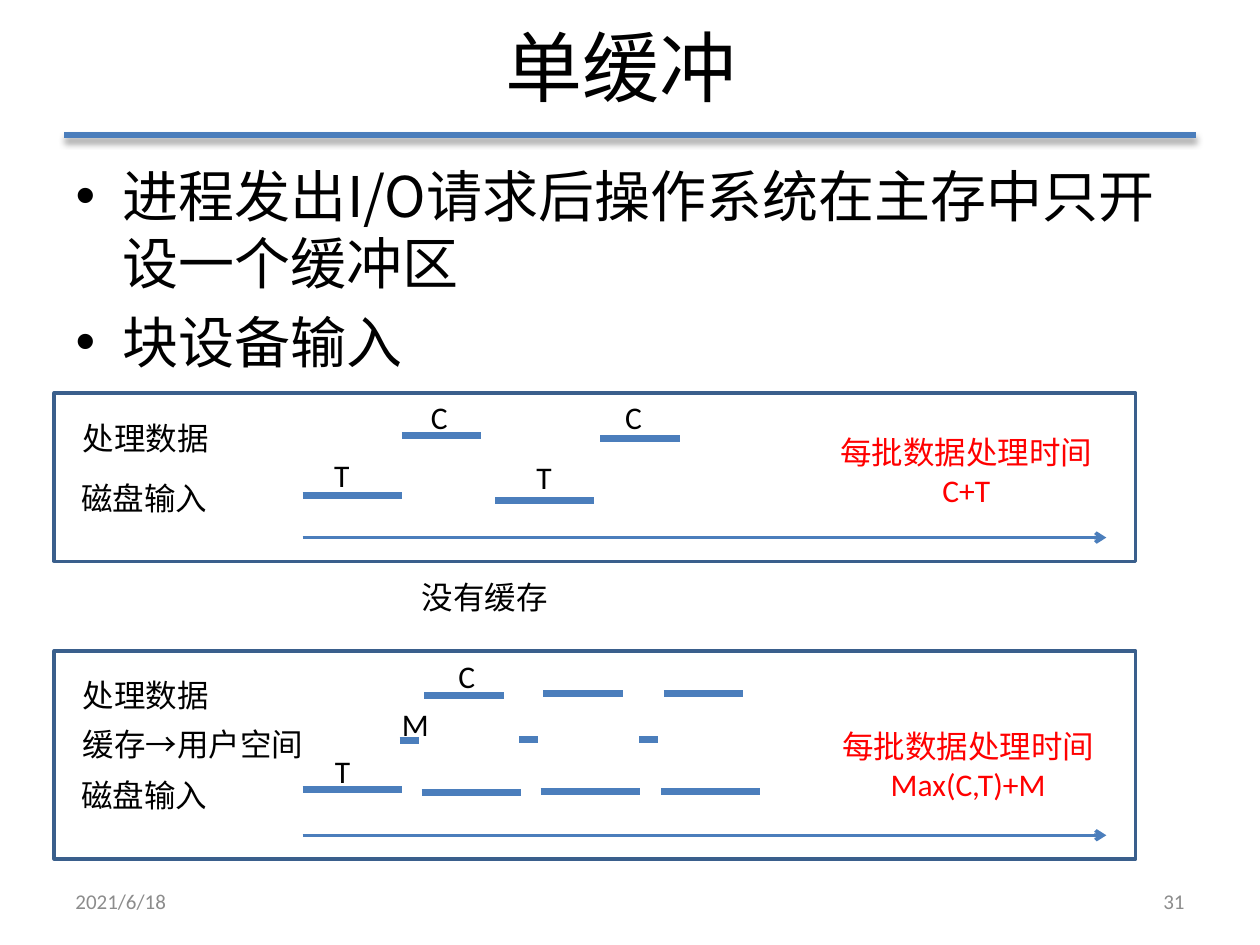
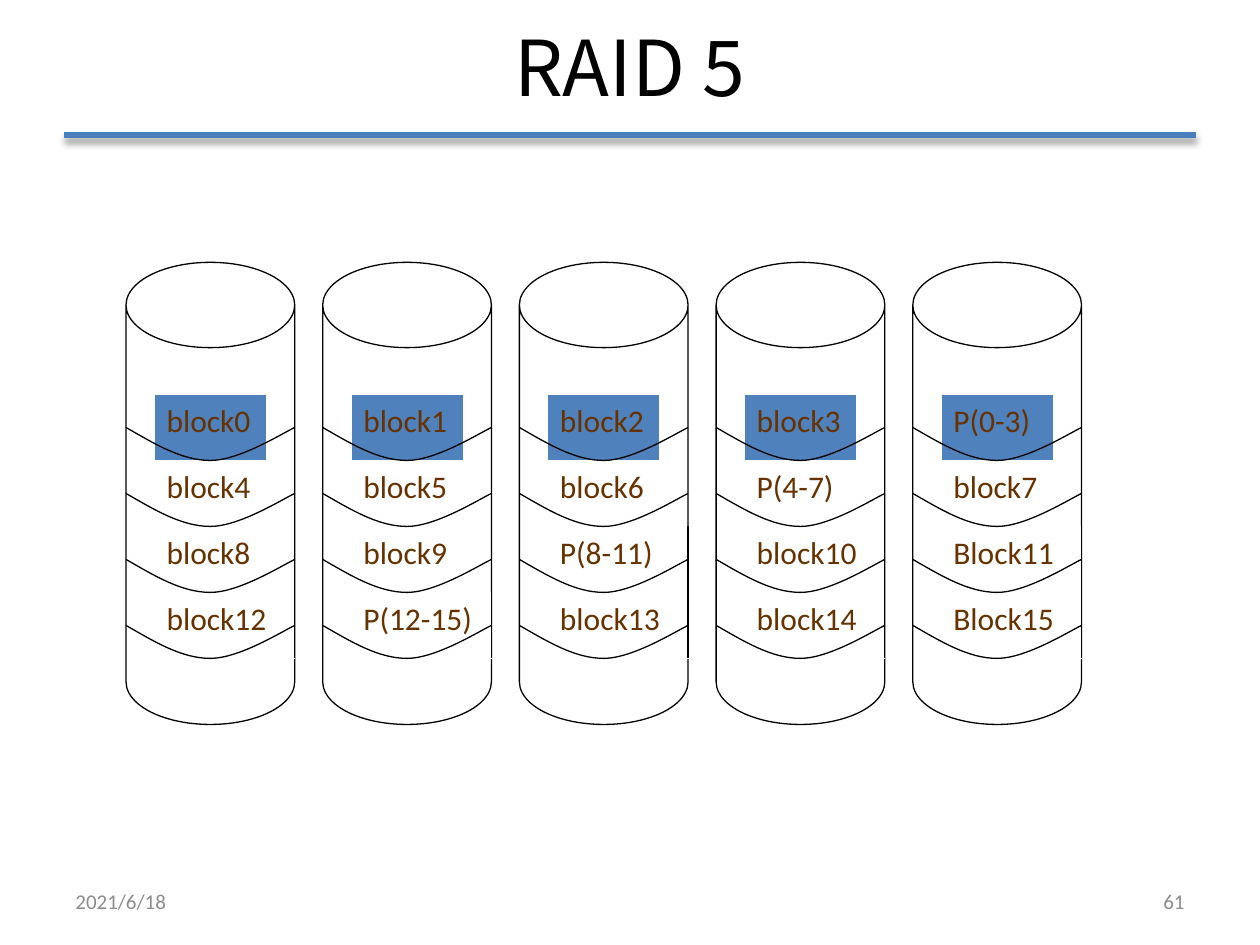
from lxml.etree import SubElement
from pptx import Presentation
from pptx.dml.color import RGBColor
from pptx.enum.shapes import MSO_CONNECTOR, MSO_SHAPE
from pptx.enum.text import MSO_ANCHOR, MSO_AUTO_SIZE, PP_ALIGN
from pptx.oxml.ns import qn
from pptx.util import Pt

BLACK = RGBColor(0x00, 0x00, 0x00)
WHITE = RGBColor(0xFF, 0xFF, 0xFF)
GREY = RGBColor(0x8C, 0x8C, 0x8C)
RED = RGBColor(0xFF, 0x00, 0x00)
BROWN = RGBColor(0x66, 0x33, 0x00)
BLUE = RGBColor(0x4B, 0x7E, 0xBC)
BLOCK_BLUE = RGBColor(0x4F, 0x81, 0xBD)
FRAME_BLUE = RGBColor(0x3A, 0x5F, 0x8C)
HEADING_FONT = "Noto Sans CJK JP"
LABEL_FONT = "Calibri"
CONTENT_LAYOUT, TITLE_ONLY_LAYOUT = 1, 5

DATE = "2021/6/18"
BUFFER_POINTS = ["进程发出I/O请求后操作系统在主存中只开设一个缓冲区", "块设备输入"]

# Row labels: text, left, top, width.
# Bars: kind, start, height on the slide, letter position (or None).
TIMELINES = [
    {
        "frame": (31, 224.5, 618, 96.3),
        "axis": 307.2,
        "rows": [("处理数据", 40.3, 236, 87), ("磁盘输入", 39.4, 270, 87)],
        "bars": [
            ("T", 173, 283, (183.8, 257)),
            ("C", 229.7, 249.1, (239.2, 223.9)),
            ("T", 283, 285.8, (299.4, 258)),
            ("C", 342.9, 250.6, (350.1, 223.9)),
        ],
        "cost": ("C+T", 472.3, 244.1),
    },
    {
        "frame": (31, 372, 618, 118.8),
        "axis": 477.3,
        "rows": [("处理数据", 40.3, 382.5, 87), ("缓存→用户空间", 40.3, 410.9, 141),
                 ("磁盘输入", 39.4, 439.9, 87)],
        "bars": [
            ("T", 173, 451.4, (184.3, 426.2)),
            ("T", 241, 452.9, None),
            ("T", 309, 452.2, None),
            ("T", 377.8, 452.2, None),
            ("M", 228.4, 423.4, (222.5, 399.6)),
            ("M", 296.6, 422.6, None),
            ("M", 365.2, 422.6, None),
            ("C", 242.4, 397.3, (254.9, 372.2)),
            ("C", 310.4, 396.5, None),
            ("C", 379.4, 396.5, None),
        ],
        "cost": ("Max(C,T)+M", 473.3, 411.8),
    },
]
COST_HEADING = "每批数据处理时间"
NO_BUFFER_CAPTION = ("没有缓存", 234, 326.9, 87)
DURATION = {"T": 56.7, "C": 45.4, "M": 11}
LETTER_WIDTH = {"T": 23, "C": 24.5, "M": 30.2}
AXIS_START, AXIS_END = 173, 632.2

STRIPES = [
    ["block0", "block1", "block2", "block3", "P(0-3)"],
    ["block4", "block5", "block6", "P(4-7)", "block7"],
    ["block8", "block9", "P(8-11)", "block10", "Block11"],
    ["block12", "P(12-15)", "block13", "block14", "Block15"],
]
DISK_LEFT, DISK_TOP, DISK_STEP = 72, 149.9, 112.4
DISK_WIDTH, DISK_HEIGHT = 96.4, 264.1
BLOCK_INDENT, BLOCK_WIDTH, BLOCK_TOP, BLOCK_HEIGHT = 16.1, 64.2, 225.4, 37.7
# Start, then two cubic arcs, as fractions of the disk width and of the sag.
DISK_CURVE = [(0, 0), (0.17, 0.5), (0.33, 1), (0.5, 1), (0.67, 1), (0.92, 0.2), (1, 0)]


def box(*lengths):
    return [Pt(length) for length in lengths]


def write(paragraph, text, size, font=LABEL_FONT, color=BLACK):
    run = paragraph.add_run()
    run.text = text
    run.font.size = Pt(size)
    run.font.color.rgb = color
    run.font.name = font
    if font == HEADING_FONT:
        SubElement(run._r.rPr, qn("a:ea"), typeface=font)


def place_placeholder(placeholder, place):
    placeholder.left, placeholder.top, placeholder.width, placeholder.height = box(*place)


def add_label(slide, lines, place, color=BLACK, align=PP_ALIGN.LEFT):
    frame = slide.shapes.add_textbox(*box(*place)).text_frame
    frame.word_wrap = False
    frame.auto_size = MSO_AUTO_SIZE.SHAPE_TO_FIT_TEXT
    for number, line in enumerate(lines):
        paragraph = frame.add_paragraph() if number else frame.paragraphs[0]
        paragraph.alignment = align
        write(paragraph, line, 18, color=color)


def add_footer(slide, text, left, align):
    frame = slide.shapes.add_textbox(*box(left, 500.5, 168, 28.8)).text_frame
    frame.word_wrap = True
    frame.vertical_anchor = MSO_ANCHOR.MIDDLE
    frame.paragraphs[0].alignment = align
    write(frame.paragraphs[0], text, 12, color=GREY)


def add_line(shapes, start, end, width, color=BLUE):
    """Draw a straight line and return it with its empty effect list."""
    line = shapes.add_connector(MSO_CONNECTOR.STRAIGHT, *box(*start, *end))
    line.line.color.rgb = color
    line.line.width = Pt(width)
    effects = SubElement(line._element.spPr, qn("a:effectLst"))
    return line, effects


def style_outline(shape, line_color, line_width, fill=None):
    shape.shadow.inherit = False
    if fill is None:
        shape.fill.background()
    else:
        shape.fill.solid()
        shape.fill.fore_color.rgb = fill
    shape.line.color.rgb = line_color
    shape.line.width = Pt(line_width)


def move_rule_to_master(deck, slide):
    """Draw the shadowed title rule and hand it to the master, so every slide has it."""
    rule, effects = add_line(slide.shapes, (36.7, 77.1), (683.3, 77.1), 3)
    shadow = SubElement(effects, qn("a:outerShdw"), blurRad=str(Pt(4)),
                        dist=str(Pt(3)), dir="5400000", rotWithShape="0")
    shade = SubElement(shadow, qn("a:srgbClr"), val=str(BLACK))
    SubElement(shade, qn("a:alpha"), val="40000")
    deck.slide_master.shapes._spTree.append(rule._element)


def add_slide(deck, layout, title, number):
    """Start a slide with the shared title style and footers."""
    slide = deck.slides.add_slide(deck.slide_layouts[layout])
    heading = slide.shapes.title
    place_placeholder(heading, (36, -2.2, 648, 79.2))
    heading.text_frame.vertical_anchor = MSO_ANCHOR.MIDDLE
    paragraph = heading.text_frame.paragraphs[0]
    paragraph.alignment = PP_ALIGN.CENTER
    write(paragraph, title, 44, HEADING_FONT)
    add_footer(slide, DATE, 36, PP_ALIGN.LEFT)
    add_footer(slide, number, 516, PP_ALIGN.RIGHT)
    return slide


def fill_bullets(slide, points):
    body = slide.placeholders[1]
    place_placeholder(body, (36, 88.6, 648, 393.8))
    frame = body.text_frame
    for number, point in enumerate(points):
        paragraph = frame.add_paragraph() if number else frame.paragraphs[0]
        write(paragraph, point, 32, HEADING_FONT)


def add_timeline(slide, timeline):
    frame = slide.shapes.add_shape(MSO_SHAPE.RECTANGLE, *box(*timeline["frame"]))
    style_outline(frame, FRAME_BLUE, 2)
    axis_y = timeline["axis"]
    axis, _ = add_line(slide.shapes, (AXIS_START, axis_y), (AXIS_END, axis_y), 2)
    SubElement(axis.line._get_or_add_ln(), qn("a:tailEnd"), type="arrow")
    for label, left, top, width in timeline["rows"]:
        add_label(slide, [label], (left, top, width, 28.8))
    for kind, start, y, letter in timeline["bars"]:
        add_line(slide.shapes, (start, y), (start + DURATION[kind], y), 4)
        if letter:
            add_label(slide, [kind], (*letter, LETTER_WIDTH[kind], 28.8))
    formula, left, top = timeline["cost"]
    add_label(slide, [COST_HEADING, formula], (left, top, 159.8, 51.1), RED, PP_ALIGN.CENTER)


def add_disk_curve(shapes, left, top, sag):
    start, *rest = [(Pt(left + x * DISK_WIDTH), Pt(top + y * sag)) for x, y in DISK_CURVE]
    builder = shapes.build_freeform(*start)
    builder.add_line_segments(rest, close=False)
    curve = builder.convert_to_shape()
    style_outline(curve, BLACK, 0.75)
    # Every three straight segments become one cubic arc.
    outline = next(curve._element.iter(qn("a:path")))
    segments = outline.findall(qn("a:lnTo"))
    for first in range(0, len(segments), 3):
        arc = SubElement(outline, qn("a:cubicBezTo"))
        for segment in segments[first:first + 3]:
            arc.append(segment[0])
            outline.remove(segment)


def add_disk(slide, left, blocks):
    shapes = slide.shapes.add_group_shape().shapes
    can = shapes.add_shape(MSO_SHAPE.CAN, *box(left, DISK_TOP, DISK_WIDTH, DISK_HEIGHT))
    can.adjustments[0] = 0.506
    style_outline(can, BLACK, 0.75, WHITE)
    right = left + DISK_WIDTH
    for row, name in enumerate(blocks):
        top = BLOCK_TOP + row * BLOCK_HEIGHT
        reaches_edge = len(name) > 6
        width = DISK_WIDTH - BLOCK_INDENT if reaches_edge else BLOCK_WIDTH
        block = shapes.add_shape(MSO_SHAPE.RECTANGLE,
                                 *box(left + BLOCK_INDENT, top, width, BLOCK_HEIGHT))
        style_outline(block, WHITE, 0.75, WHITE if row else BLOCK_BLUE)
        block.text_frame.vertical_anchor = MSO_ANCHOR.TOP
        paragraph = block.text_frame.paragraphs[0]
        paragraph.alignment = PP_ALIGN.LEFT
        write(paragraph, name, 18, color=BROWN)
        if reaches_edge:
            add_line(shapes, (right, top), (right, top + BLOCK_HEIGHT), 0.75, BLACK)
    for row in range(len(blocks)):
        add_disk_curve(shapes, left, BLOCK_TOP + (row + 0.5) * BLOCK_HEIGHT, BLOCK_HEIGHT / 2)


def main():
    deck = Presentation()
    deck.slide_width, deck.slide_height = box(720, 540)

    buffering = add_slide(deck, CONTENT_LAYOUT, "单缓冲 ", "31")
    move_rule_to_master(deck, buffering)
    fill_bullets(buffering, BUFFER_POINTS)
    for timeline in TIMELINES:
        add_timeline(buffering, timeline)
    caption, *place = NO_BUFFER_CAPTION
    add_label(buffering, [caption], (*place, 28.8))

    raid = add_slide(deck, TITLE_ONLY_LAYOUT, "RAID 5", "61")
    for column, blocks in enumerate(zip(*STRIPES)):
        add_disk(raid, DISK_LEFT + column * DISK_STEP, blocks)

    deck.save("out.pptx")


if __name__ == "__main__":
    main()
